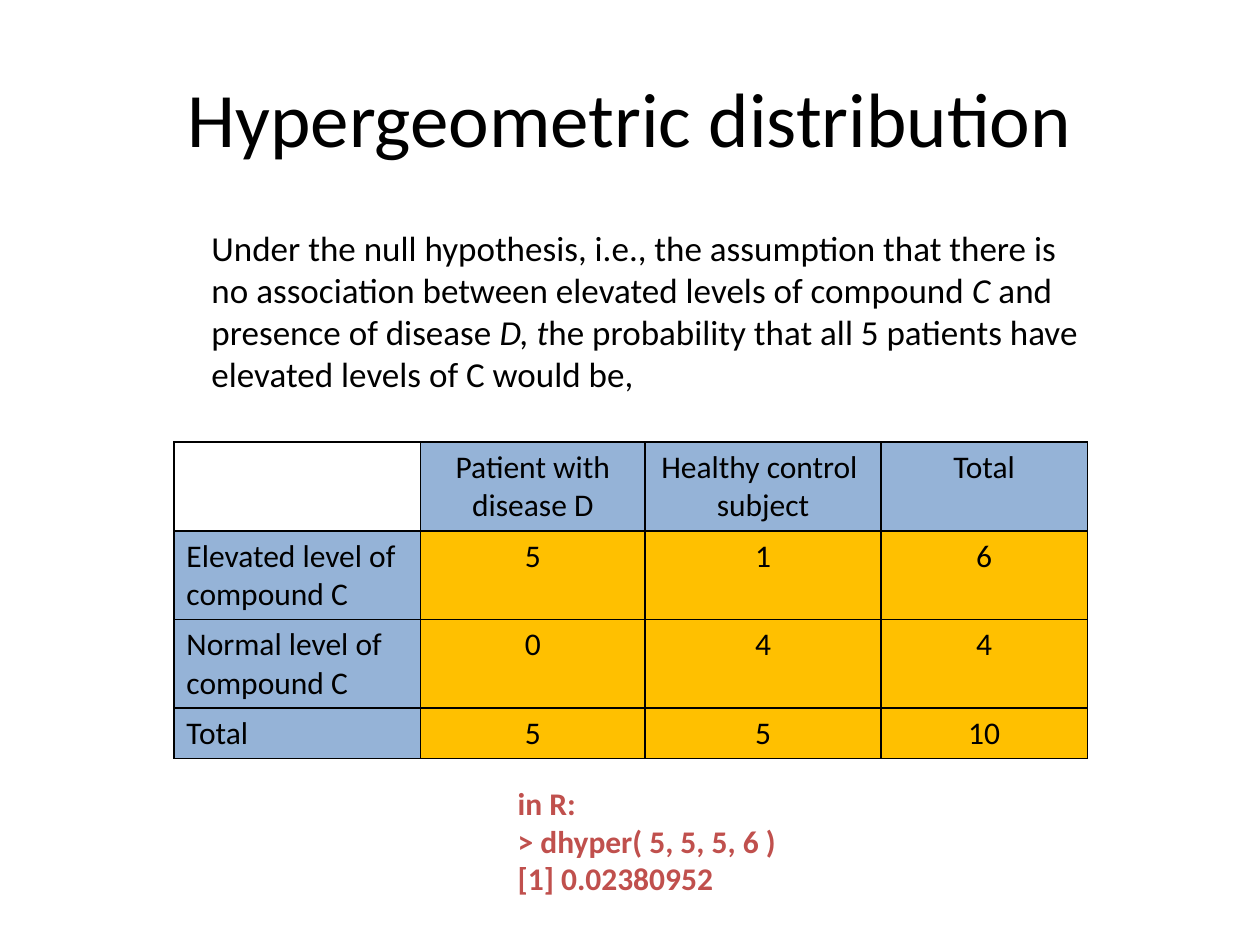
from lxml import etree
from pptx import Presentation
from pptx.dml.color import RGBColor
from pptx.enum.text import MSO_ANCHOR, MSO_AUTO_SIZE, PP_ALIGN
from pptx.oxml.ns import qn
from pptx.util import Inches, Pt

LEFT, CENTER = PP_ALIGN.LEFT, PP_ALIGN.CENTER
TOP, MIDDLE = MSO_ANCHOR.TOP, MSO_ANCHOR.MIDDLE
FIT_SHAPE = MSO_AUTO_SIZE.SHAPE_TO_FIT_TEXT
FONT = "Calibri"
COLORS = {"ink": "000000", "label": "95B3D7", "count": "FFC000", "code": "C0504D"}
PAGE_WIDTH, PAGE_HEIGHT = Inches(10), Inches(7.5)

# Regions as (left, top, width, height), in shares of the slide's size
TITLE_BOX = (0.05, 0.04, 0.9, 0.167)
INTRO_BOX = (0.158, 0.233, 0.721, 0.194)
TABLE_BOX = (0.138, 0.468, 0.725, 0.335)
CODE_BOX = (0.401, 0.823, 0.225, 0.135)

# Each line is a list of (text, italic) spans
INTRO = [
    [("Under the null hypothesis, i.e., the assumption that there is", False)],
    [("no association between elevated levels of compound ", False),
     ("C ", True), ("and", False)],
    [("presence of disease ", False), ("D, t", True),
     ("he probability that all 5 patients have", False)],
    [("elevated levels of C would be,", False)],
]
CODE = ["in R:", "> dhyper( 5, 5, 5, 6 )", "[1] 0.02380952"]
COUNTS = [
    ["", "Patient with\ndisease D", "Healthy control \nsubject", "Total"],
    ["Elevated level of\ncompound C", "5", "1", "6"],
    ["Normal level of\ncompound C", "0", "4", "4"],
    ["Total", "5", "5", "10"],
]
COLUMN_SHARES = [0.27, 0.246, 0.258, 0.226]
ROW_SHARES = [0.28, 0.28, 0.28, 0.16]


def place(box):
    """Turn shares of the slide into left, top, width and height."""
    left, top, width, height = box
    return (int(PAGE_WIDTH * left), int(PAGE_HEIGHT * top),
            int(PAGE_WIDTH * width), int(PAGE_HEIGHT * height))


def write_lines(frame, lines, size, color="ink", align=LEFT, bold=False):
    """Write one paragraph per line; a line is a string or a list of spans."""
    for index, line in enumerate(lines):
        para = frame.paragraphs[0] if index == 0 else frame.add_paragraph()
        para.alignment = align
        para.font.name = FONT
        para.font.size = Pt(size)
        para.font.bold = bold
        para.font.color.rgb = RGBColor.from_string(COLORS[color])
        spans = [(line, False)] if isinstance(line, str) else line
        for text, italic in spans:
            span = para.add_run()
            span.text = text
            if italic:
                span.font.italic = True


def add_title(page, box, text):
    frame = page.shapes.add_textbox(*place(box)).text_frame
    frame.word_wrap = True
    frame.vertical_anchor = MIDDLE
    write_lines(frame, [text], 44, align=CENTER)


def add_text(page, box, lines, size, color="ink", bold=False):
    frame = page.shapes.add_textbox(*place(box)).text_frame
    frame.word_wrap = False
    frame.auto_size = FIT_SHAPE
    frame.vertical_anchor = TOP
    write_lines(frame, lines, size, color, bold=bold)


def add_borders(cell):
    """Draw a thin line on all four sides; must come before the cell's fill."""
    properties = cell._tc.get_or_add_tcPr()
    for side in ("a:lnL", "a:lnR", "a:lnT", "a:lnB"):
        line = etree.SubElement(properties, qn(side), w=str(Pt(1)))
        fill = etree.SubElement(line, qn("a:solidFill"))
        etree.SubElement(fill, qn("a:srgbClr"), val=COLORS["ink"])


def add_count_table(page, box, rows):
    left, top, width, height = place(box)
    table = page.shapes.add_table(len(rows), len(rows[0]),
                                  left, top, width, height).table
    table.first_row = False
    table.horz_banding = False
    for column, share in zip(table.columns, COLUMN_SHARES):
        column.width = int(width * share)
    for row, share in zip(table.rows, ROW_SHARES):
        row.height = int(height * share)
    for row_index, row in enumerate(rows):
        for column_index, text in enumerate(row):
            cell = table.cell(row_index, column_index)
            add_borders(cell)
            if text:
                is_label = row_index == 0 or column_index == 0
                cell.fill.solid()
                cell.fill.fore_color.rgb = RGBColor.from_string(
                    COLORS["label" if is_label else "count"])
                write_lines(cell.text_frame, text.split("\n"), 18,
                            align=CENTER if column_index else LEFT)
            else:
                cell.fill.background()


def main():
    deck = Presentation()
    deck.slide_width, deck.slide_height = PAGE_WIDTH, PAGE_HEIGHT
    page = deck.slides.add_slide(deck.slide_layouts[6])
    add_title(page, TITLE_BOX, "Hypergeometric distribution")
    add_text(page, INTRO_BOX, INTRO, 20)
    add_count_table(page, TABLE_BOX, COUNTS)
    add_text(page, CODE_BOX, CODE, 18, "code", bold=True)
    deck.save("out.pptx")


if __name__ == "__main__":
    main()
